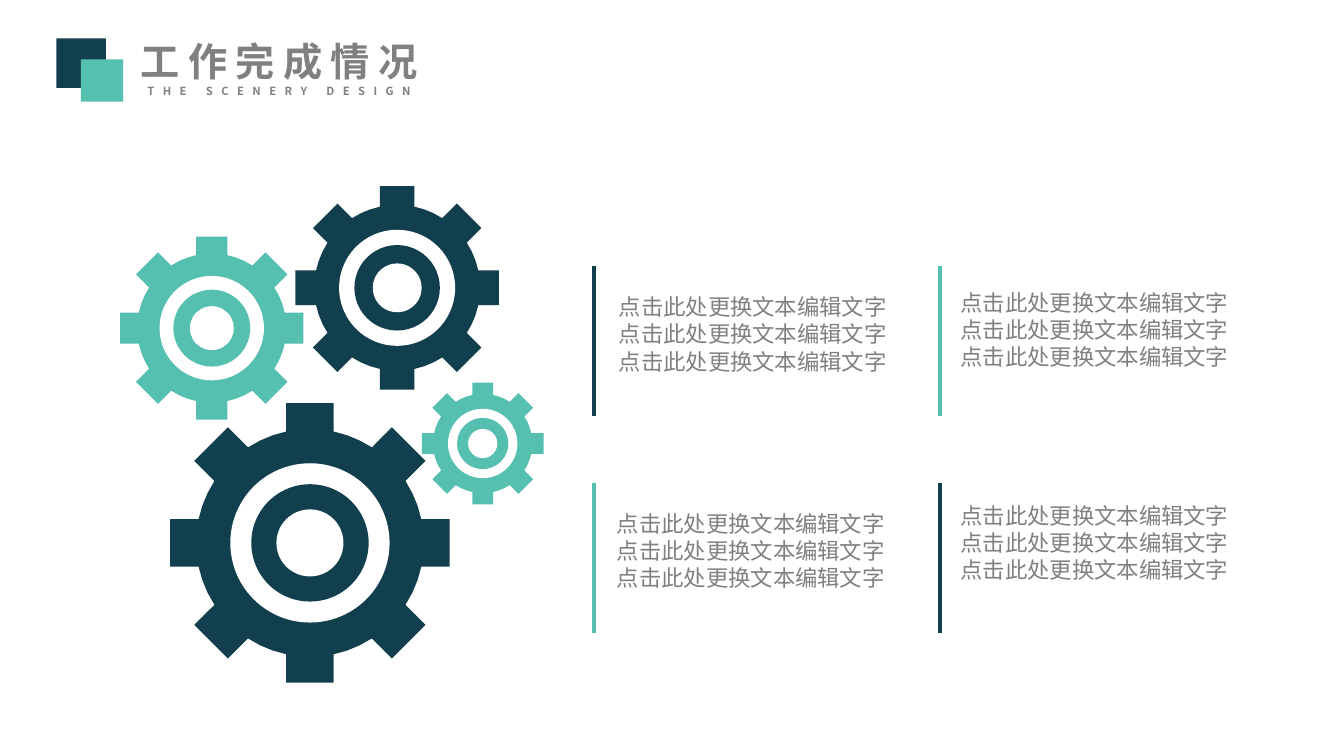
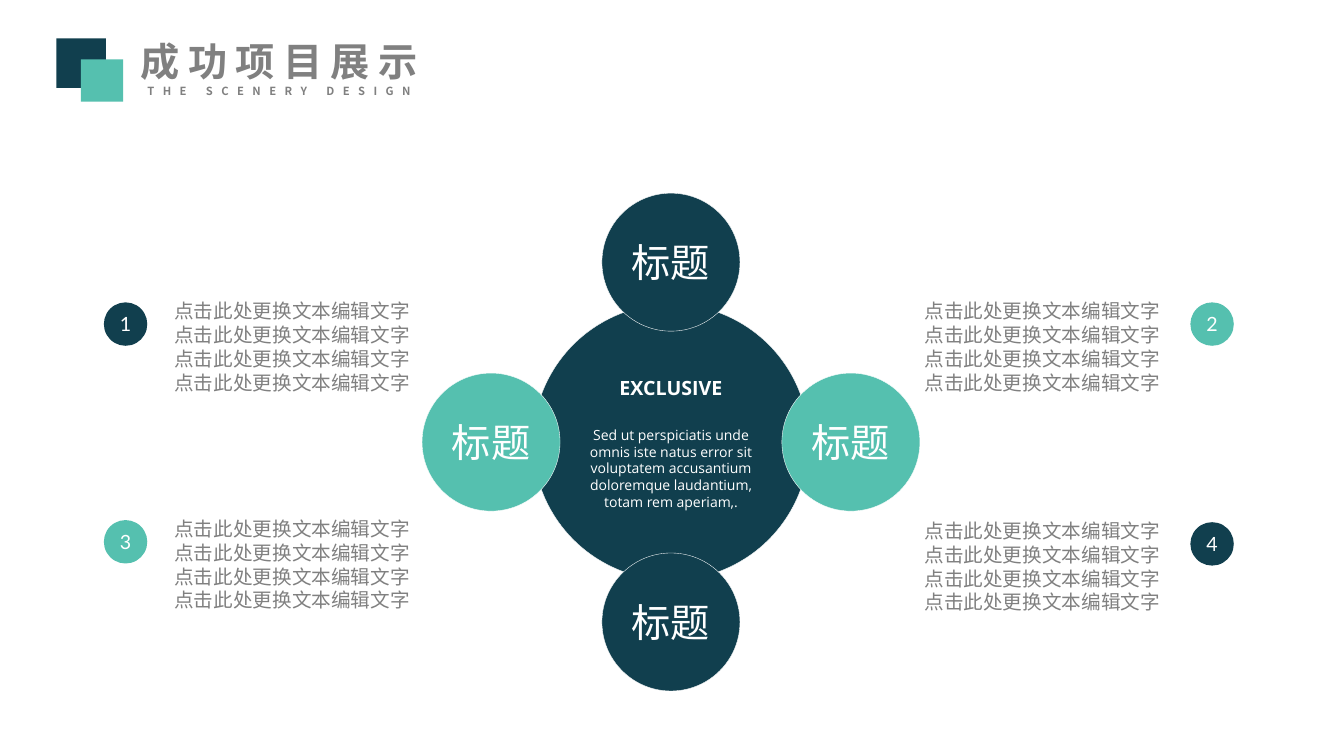
from math import asin, cos, pi, sin

from lxml.etree import SubElement
from pptx import Presentation
from pptx.dml.color import RGBColor
from pptx.enum.shapes import MSO_CONNECTOR as Link, MSO_SHAPE as Kind
from pptx.enum.text import MSO_ANCHOR as Anchor, PP_ALIGN as Align
from pptx.oxml.ns import qn
from pptx.util import Pt

COLORS = {"navy": "113F4E", "mint": "55C0AF", "gray": "808080", "white": "FFFFFF"}
CJK = "Noto Sans CJK SC"
BODY = "点击此处更换文本编辑文字"
LEAD = 1.21  # line height as a share of the text size


def tint(name):
    return RGBColor.from_string(COLORS[name])


def write(frame, text, size=16, color="gray", font=CJK, bold=False,
          align=Align.LEFT, gap=None, lead=None, after=0):
    """Add each line of text as a paragraph, starting with the empty first one."""
    for line in text.split("\n"):
        para = frame.paragraphs[-1]
        if para.runs:
            para = frame.add_paragraph()
        para.alignment = align
        para.space_after = Pt(after)
        if lead:
            para.line_spacing = Pt(size * lead)
        run = para.add_run()
        run.text = line
        face = run.font
        face.size, face.bold, face.name = Pt(size), bold, font
        face.color.rgb = tint(color)
        props = run._r.get_or_add_rPr()
        SubElement(props, qn("a:ea")).set("typeface", font)
        if gap:
            props.set("spc", str(gap * 100))


def frame_at(slide, x, y, w, h, wrap=True):
    frame = slide.shapes.add_textbox(Pt(x), Pt(y), Pt(w), Pt(h)).text_frame
    frame.word_wrap = wrap
    return frame


def paint(shape, color, edge=None):
    shape.shadow.inherit = False
    shape.fill.solid()
    shape.fill.fore_color.rgb = tint(color)
    if edge:
        shape.line.color.rgb = tint(edge)
        shape.line.width = Pt(0.25)
    else:
        shape.line.fill.background()


def block(slide, kind, x, y, size, color, edge=None):
    """Add a shape as wide as it is high, with a centred text frame."""
    shape = slide.shapes.add_shape(kind, Pt(x), Pt(y), Pt(size), Pt(size))
    paint(shape, color, edge)
    frame = shape.text_frame
    frame.margin_left = frame.margin_right = 0
    frame.margin_top = frame.margin_bottom = 0
    frame.vertical_anchor = Anchor.MIDDLE
    return frame


def disc(slide, cx, cy, rad, color, edge=None):
    return block(slide, Kind.OVAL, cx - rad, cy - rad, 2 * rad, color, edge)


def header(slide, title, x=40.3, y=23):
    block(slide, Kind.RECTANGLE, x, y + 4.4, 35.4, "navy")
    block(slide, Kind.RECTANGLE, x + 17.4, y + 19.4, 30.2, "mint")
    frame = frame_at(slide, x + 49, y, 220.3, 51, wrap=False)
    look = dict(bold=True, align=Align.CENTER, gap=6, lead=LEAD)
    write(frame, title, size=28, **look)
    write(frame, "THE SCENERY DESIGN", size=8, **look)


def teeth(rad, count=8, root=0.815, half=0.17, steps=3):
    """Outline of a toothed wheel as (radius, angle) pairs."""
    tip = (1 + half ** 2) ** 0.5
    low, high = asin(half / root), asin(half / tip)
    pitch = 2 * pi / count
    arc = pitch - 2 * low
    out = []
    for i in range(count):
        mid = i * pitch
        out += [(rad * root, mid - low), (rad * tip, mid - high),
                (rad * tip, mid + high)]
        out += [(rad * root, mid + low + arc * k / steps) for k in range(steps)]
    return out


def gear(slide, cx, cy, rad, color):
    dots = [(Pt(cx + r * cos(a)), Pt(cy + r * sin(a))) for r, a in teeth(rad)]
    pen = slide.shapes.build_freeform(*dots[0], scale=1.0)
    pen.add_line_segments(dots[1:], close=True)
    paint(pen.convert_to_shape(), color)
    for part, shade in [(0.57, "white"), (0.42, color), (0.24, "white")]:
        disc(slide, cx, cy, rad * part, shade)


def panel(slide, x, y, dx, dy, color):
    """Upright bar at (x, y) with three lines of text offset by (dx, dy)."""
    bar = slide.shapes.add_connector(Link.STRAIGHT, Pt(x), Pt(y), Pt(x), Pt(y + 107))
    bar.line.color.rgb = tint(color)
    bar.line.width = Pt(3)
    SubElement(bar._element.spPr, qn("a:effectLst"))
    frame = frame_at(slide, x + dx, y + dy, 270, 65.5)
    write(frame, "\n".join([BODY] * 3), lead=LEAD)


def note(slide, num, x, y, color, right=False):
    """Numbered dot at (x, y) with four lines of text on its inner side."""
    dot, wide = 31, 239
    write(block(slide, Kind.OVAL, x, y, dot, color), num, size=14, color="white",
          font="Lato", align=Align.CENTER)
    left = x - 14.4 - wide if right else x + dot + 12.2
    write(frame_at(slide, left, y - 5.8, wide, 75), "\n".join([BODY] * 4), size=14,
          lead=LEAD, align=Align.RIGHT if right else Align.LEFT)


def hub(slide, cx, cy, rad=98.6, reach=128.5):
    """Large disc with a text, and four titled discs around it."""
    disc(slide, cx, cy, rad, "navy", "white")
    for i, color in enumerate(["navy", "mint"] * 2):
        turn = (i - 1) * pi / 2
        frame = disc(slide, cx + reach * cos(turn), cy + reach * sin(turn),
                     rad / 2, color, "white")
        write(frame, "标题", size=28, color="white", align=Align.CENTER)
    frame = frame_at(slide, cx - 77.4, cy - 50.7, 154.8, 101.5)
    look = dict(color="white", font="Open Sans", align=Align.CENTER)
    write(frame, "EXCLUSIVE", size=14, bold=True, after=19, **look)
    write(frame, "Sed ut perspiciatis unde omnis iste natus error sit voluptatem "
          "accusantium doloremque laudantium, totam rem aperiam,.", size=10, **look)


def work(slide):
    header(slide, "工作完成情况")
    for spot in [(283.7, 205.6, 72.7, "navy"), (221.4, 387.8, 99.8, "navy"),
                 (151.3, 234.4, 65.4, "mint"), (344.8, 316.8, 43.5, "mint")]:
        gear(slide, *spot)
    for spot in [(424.1, 190, 10.8, 15.9, "navy"), (424.1, 345, 9.4, 15.7, "mint"),
                 (671.5, 190, 7.5, 13, "mint"), (671.5, 345, 7.5, 10, "navy")]:
        panel(slide, *spot)


def show(slide):
    header(slide, "成功项目展示")
    hub(slide, 479.3, 315.8)
    for spot in [("1", 74.2, 216, "navy"), ("2", 850.3, 216, "mint", True),
                 ("3", 74.2, 371.5, "mint"), ("4", 850.3, 373, "navy", True)]:
        note(slide, *spot)


def main():
    deck = Presentation()
    deck.slide_width, deck.slide_height = Pt(960), Pt(540)
    for fill in (work, show):
        fill(deck.slides.add_slide(deck.slide_layouts[6]))
    deck.save("out.pptx")


if __name__ == "__main__":
    main()
